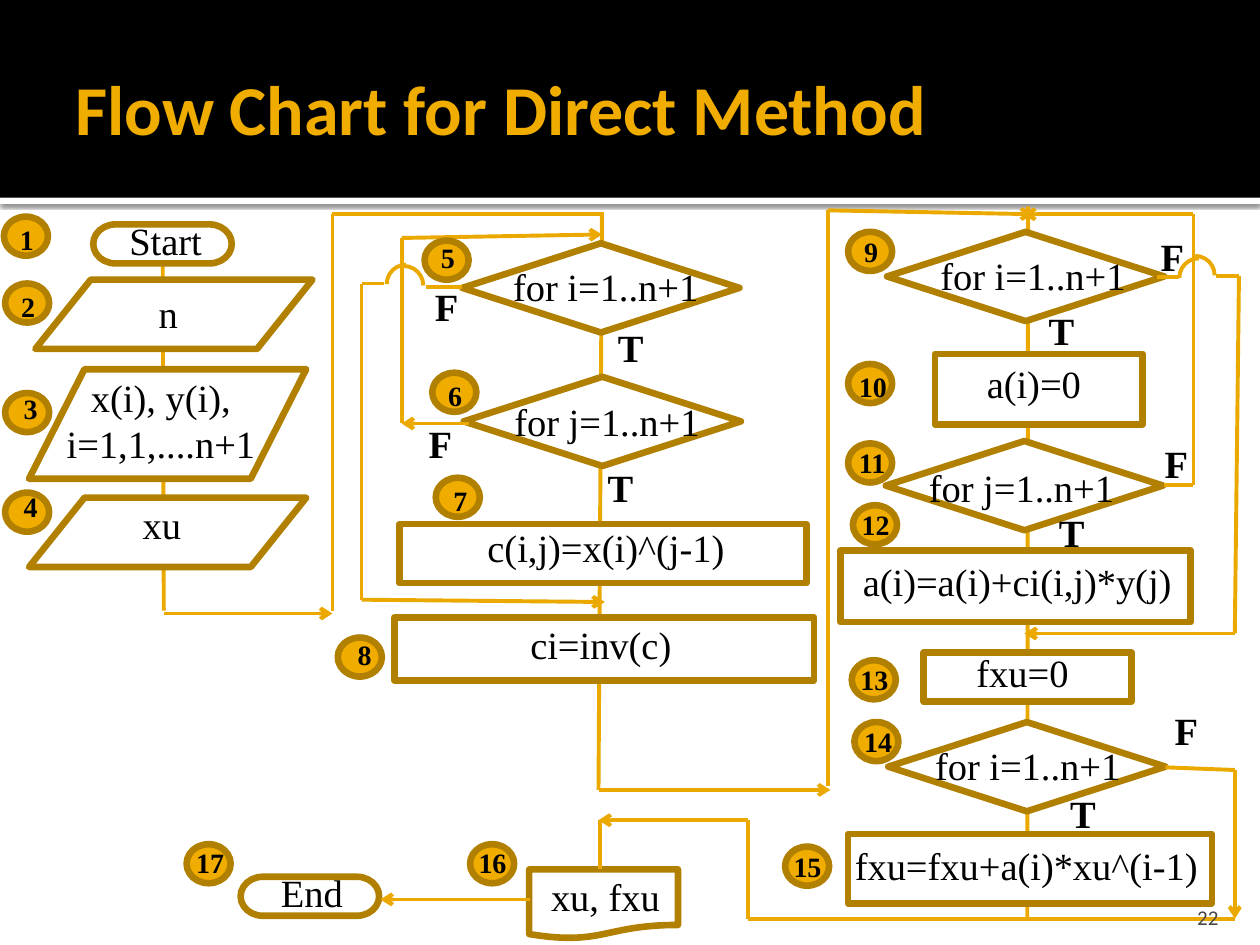
from dataclasses import dataclass
from lxml import etree
from pptx import Presentation
from pptx.dml.color import RGBColor
from pptx.enum.shapes import MSO_CONNECTOR, MSO_SHAPE
from pptx.enum.text import MSO_ANCHOR, PP_ALIGN
from pptx.oxml.ns import qn
from pptx.util import Pt

TERMINAL = MSO_SHAPE.FLOWCHART_TERMINATOR
DATA = MSO_SHAPE.FLOWCHART_DATA
DECISION = MSO_SHAPE.FLOWCHART_DECISION
DOCUMENT = MSO_SHAPE.FLOWCHART_DOCUMENT
PROCESS = MSO_SHAPE.RECTANGLE
OVAL = MSO_SHAPE.OVAL
ARC = MSO_SHAPE.ARC
STRAIGHT = MSO_CONNECTOR.STRAIGHT
LEFT, CENTER, RIGHT = PP_ALIGN.LEFT, PP_ALIGN.CENTER, PP_ALIGN.RIGHT
TOP, MIDDLE, BOTTOM = MSO_ANCHOR.TOP, MSO_ANCHOR.MIDDLE, MSO_ANCHOR.BOTTOM


@dataclass(frozen=True)
class Theme:
    gold: str = "F0AD00"
    outline: str = "B28000"
    flow: str = "EBA900"
    black: str = "000000"
    white: str = "FFFFFF"
    gray: str = "454545"
    heading_font: str = "Calibri"
    body_font: str = "Times New Roman"
    title_size: int = 40
    step_size: int = 22
    badge_size: int = 16
    number_size: int = 12
    outline_width: float = 3.78
    flow_width: float = 2.25


THEME = Theme()
TITLE = "Flow Chart for Direct Method"
PAGE_NUMBER = "22"

DATA_SIZE = (158.4, 39.6)
DECISION_SIZE = (158.4, 51)
TERMINAL_SIZE = (79.2, 22.3)
SMALL_TEXT, LOOP_TEXT = 124.6, 146.5
LINE_HEIGHT = 33.6

STEPS = [
    (TERMINAL, (53.3, 128.2), TERMINAL_SIZE, "Start", (32.4, 120.2), SMALL_TEXT),
    (DATA, (20.2, 159.8), DATA_SIZE, "n", (33.8, 162), SMALL_TEXT),
    (DATA, (16.6, 211), (158.4, 62.6), "x(i), y(i), i=1,1,....n+1", (18.7, 210.2), LOOP_TEXT),
    (DATA, (16.6, 284.4), DATA_SIZE, "xu", (30.2, 283), SMALL_TEXT),
    (DECISION, (264.2, 139), DECISION_SIZE, "for i=1..n+1", (272.9, 146.9), LOOP_TEXT),
    (DECISION, (265, 215.3), DECISION_SIZE, "for j=1..n+1", (273.6, 223.9), LOOP_TEXT),
    (PROCESS, (228.2, 299.5), (232.6, 33.8), "c(i,j)=x(i)^(j-1)", (249.8, 295.9), 193),
    (PROCESS, (225.4, 352.8), (239.8, 36), "ci=inv(c)", (218.9, 351.4), 249),
    (DECISION, (506.9, 132.5), DECISION_SIZE, "for i=1..n+1", (517, 140.4), LOOP_TEXT),
    (PROCESS, (534.2, 202.3), (118.8, 40.3), "a(i)=0", (528.5, 202.3), SMALL_TEXT),
    (DECISION, (506.2, 252), DECISION_SIZE, "for j=1..n+1", (510.5, 261.4), LOOP_TEXT),
    (PROCESS, (480.2, 314.6), (200.2, 41), "a(i)=a(i)+ci(i,j)*y(j)", (473, 315.4), 216.7),
    (PROCESS, (527.8, 373), (118.8, 28), "fxu=0", (522, 367.2), SMALL_TEXT),
    (DECISION, (507.6, 412.6), DECISION_SIZE, "for i=1..n+1", (514, 420.5), LOOP_TEXT),
    (PROCESS, (484.6, 476.6), (208, 39.6), "fxu=fxu+a(i)*xu^(i-1)", (474.5, 477.4), 224),
    (DOCUMENT, (302.4, 496.8), (85, 39.6), "xu, fxu", (283.7, 495.4), SMALL_TEXT),
    (TERMINAL, (137.5, 501), TERMINAL_SIZE, "End", (115.9, 493.2), SMALL_TEXT),
]

BADGE_SIZE = (25.2, 22.3)
BADGES = [
    ((2.2, 123.8), (4.3, 123.8)), ((2.9, 162), (5, 162)),
    ((2.9, 224.6), (6.5, 220.3)), ((2.9, 281.5), (6.5, 276.5)),
    ((242.6, 137.5), (244.8, 133.9)), ((247, 213), (249, 213)),
    ((249, 273), (252, 273)), ((193, 364.3), (197.3, 360.7)),
    ((484.6, 132.5), (486.7, 130.3)), ((484.6, 208), (483.8, 207.4)),
    ((484.6, 253.4), (483.8, 251.3)), ((487.4, 288.7), (485.3, 286.6)),
    ((486.7, 377.3), (484.6, 375)), ((488.2, 412.6), (486.7, 410.4)),
    ((448.6, 483.8), (446.4, 481.7)), ((268.6, 482.4), (266.4, 479.5)),
    ((106.6, 482.4), (105, 479.5)),
]

BRANCHES = {
    "T": [(338.4, 181.4), (332.6, 261.4), (584.6, 172), (590.4, 287.3), (596.9, 447.8)],
    "F": [(233.3, 158.4), (229.7, 236.2), (648, 129.6), (650.2, 247.7), (656, 400.3)],
}

SPINES = [
    [(587.5, 118), (587, 525)],
    [(344, 122.4), (342, 451.4)],
    [(93, 150.5), (93.6, 349)],
]
ROUTES = [
    ([(93.6, 350.6), (190, 350.6)], True),
    ([(190, 349), (190, 122.4), (345, 122.4)], False),
    ([(268, 242), (229.5, 242)], True),
    ([(229.5, 242), (229.5, 136), (344, 134)], True),
    ([(264, 164), (243.4, 164)], False),
    ([(219.6, 162), (206.6, 162), (206.6, 342.7), (345.6, 344)], True),
    ([(342, 451.4), (474.5, 451.4)], True),
    ([(473, 449.3), (473, 120.2), (590.4, 122.4)], True),
    ([(665.3, 277.2), (682, 277.2), (682, 122.4), (584.6, 122.4)], True),
    ([(661, 158.4), (674, 158.4)], False),
    ([(694.8, 157.7), (708, 157.7), (705.6, 362), (585.4, 362)], True),
    ([(666, 438.5), (705.6, 440), (705.6, 525)], True),
    ([(705.6, 525), (427.7, 525), (427.7, 468.7), (342, 468.7)], True),
    ([(342.7, 468.7), (342.7, 496.8)], False),
    ([(303, 514), (217.4, 514)], True),
]
BRIDGE_ARCS = [((219.6, 152), False), ((221, 151.2), True),
               ((671.8, 146.2), False), ((673.9, 147.6), True)]
ARC_SIZE = (22.3, 22.3)

deck = Presentation()
deck.slide_width, deck.slide_height = Pt(720), Pt(540)
slide = deck.slides.add_slide(deck.slide_layouts[6])


def rgb(value):
    return RGBColor.from_string(value)


def add_text(text, at, size, *, points=THEME.step_size, font=THEME.body_font, color=THEME.black,
             bold=False, align=CENTER, anchor=TOP, insets=(7.2, 3.6, 7.2, 3.6)):
    frame = slide.shapes.add_textbox(*map(Pt, at + size)).text_frame
    frame.word_wrap = True
    frame.vertical_anchor = anchor
    frame.margin_left, frame.margin_top, frame.margin_right, frame.margin_bottom = map(Pt, insets)
    paragraph = frame.paragraphs[0]
    paragraph.alignment = align
    run = paragraph.add_run()
    run.text = text
    run.font.size, run.font.name, run.font.bold = Pt(points), font, bold
    run.font.color.rgb = rgb(color)


def add_block(preset, at, size, fill=None, line=None, width=THEME.outline_width):
    block = slide.shapes.add_shape(preset, *map(Pt, at + size))
    block.shadow.inherit = False
    if fill:
        block.fill.solid()
        block.fill.fore_color.rgb = rgb(fill)
    else:
        block.fill.background()
    if line:
        block.line.color.rgb = rgb(line)
        block.line.width = Pt(width)
    else:
        block.line.fill.background()
    return block


def add_route(points, arrow=False):
    for start, end in zip(points, points[1:]):
        link = slide.shapes.add_connector(STRAIGHT, *map(Pt, start + end))
        link.line.color.rgb = rgb(THEME.flow)
        link.line.width = Pt(THEME.flow_width)
        properties = link.element.spPr
        etree.SubElement(properties, qn("a:effectLst"))
        if arrow and end == points[-1]:
            etree.SubElement(properties.find(qn("a:ln")), qn("a:tailEnd"), type="arrow")


rule = add_block(PROCESS, (0, 113), (720, 3.6), THEME.white)
effects = rule.element.spPr.find(qn("a:effectLst"))
shadow = etree.SubElement(effects, qn("a:outerShdw"), blurRad=str(Pt(2.5)), dist=str(Pt(0.8)),
                          dir="5400000", algn="tl", rotWithShape="0")
shade = etree.SubElement(shadow, qn("a:srgbClr"), val=THEME.black)
etree.SubElement(shade, qn("a:alpha"), val="60000")
add_block(PROCESS, (0, 0), (720, 113), THEME.black)
add_text(TITLE, (36, 12.2), (648, 98.6), points=THEME.title_size, font=THEME.heading_font,
         color=THEME.gold, bold=True, align=LEFT, anchor=MIDDLE, insets=(7.2, 3.6, 3.6, 3.6))

for spine in SPINES:
    add_route(spine)
for preset, at, size, text, text_at, text_width in STEPS:
    add_block(preset, at, size, THEME.white, THEME.outline)
    add_text(text, text_at, (text_width, max(LINE_HEIGHT, size[1] - 2) if preset == DATA else LINE_HEIGHT))
for points, arrow in ROUTES:
    add_route(points, arrow)
for at, mirrored in BRIDGE_ARCS:
    bridge = add_block(ARC, at, ARC_SIZE, line=THEME.flow, width=THEME.flow_width)
    if mirrored:
        bridge.element.spPr.xfrm.set("flipH", "1")
for answer, places in BRANCHES.items():
    for at in places:
        add_text(answer, at, (44, LINE_HEIGHT), bold=True)
for number, (at, text_at) in enumerate(BADGES, 1):
    add_block(OVAL, at, BADGE_SIZE, THEME.gold, THEME.outline)
    add_text(str(number), text_at, (14.4 if number < 9 else 38.2, 26.6),
             points=THEME.badge_size, bold=True, align=LEFT)
add_text(PAGE_NUMBER, (645.8, 509.8), (57.6, 21.6), points=THEME.number_size,
         font=THEME.heading_font, color=THEME.gray, align=RIGHT, anchor=BOTTOM,
         insets=(7.2, 3.6, 7.2, 0))

deck.save("out.pptx")
